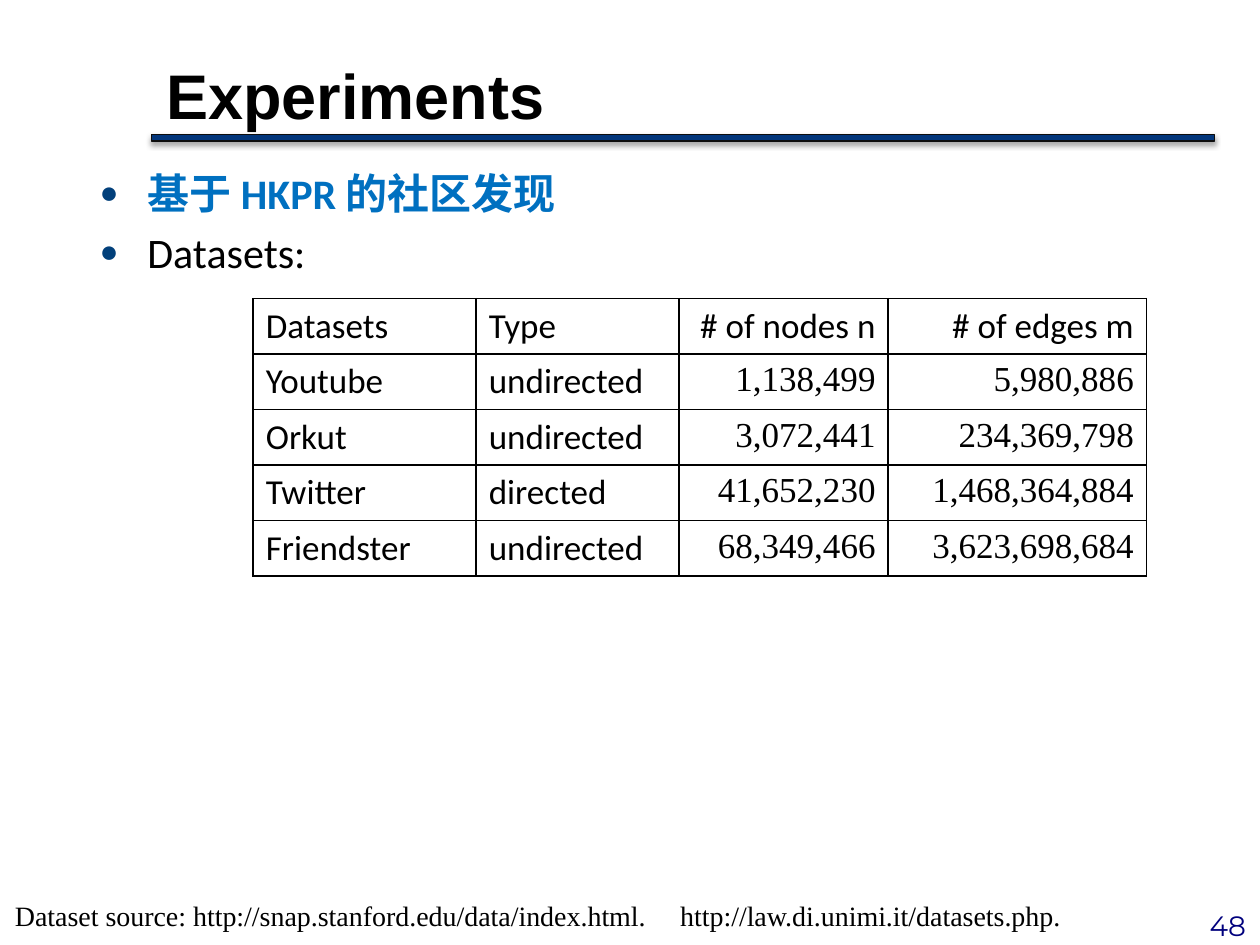
from lxml import etree
from pptx import Presentation
from pptx.dml.color import RGBColor
from pptx.enum.shapes import MSO_SHAPE
from pptx.enum.text import MSO_ANCHOR, MSO_AUTO_SIZE, PP_ALIGN
from pptx.oxml import parse_xml
from pptx.oxml.ns import qn
from pptx.util import Inches, Pt

LEFT, CENTER, RIGHT = PP_ALIGN.LEFT, PP_ALIGN.CENTER, PP_ALIGN.RIGHT
RECTANGLE = MSO_SHAPE.RECTANGLE
TOP, MIDDLE = MSO_ANCHOR.TOP, MSO_ANCHOR.MIDDLE
NO_AUTOFIT = MSO_AUTO_SIZE.NONE
DRAWING_NS = 'xmlns:a="http://schemas.openxmlformats.org/drawingml/2006/main"'


def rgb(hex_color):
    return RGBColor.from_string(hex_color)


def write(paragraph, text, color="000000", align=LEFT, **font_format):
    run = paragraph.add_run()
    run.text = text
    paragraph.alignment = align
    run.font.color.rgb = rgb(color)
    for name, value in font_format.items():
        setattr(run.font, name, value)


prs = Presentation()
prs.slide_width, prs.slide_height = Inches(10), Inches(7.5)
slide = prs.slides.add_slide(prs.slide_layouts[1])
title, body = slide.shapes.title, slide.placeholders[1]

# Positions of title and list
for placeholder, box, anchor in (
    (title, (1.22, 0.13, 8.87, 1.23), MIDDLE),
    (body, (0.69, 1.28, 9.29, 6.14), TOP),
):
    placeholder.left, placeholder.top, placeholder.width, placeholder.height = map(Inches, box)
    placeholder.text_frame.vertical_anchor = anchor
    placeholder.text_frame.auto_size = NO_AUTOFIT

write(title.text_frame.paragraphs[0], "Experiments", name="Arial", size=Pt(36), bold=True)

# Rule under the title, with a soft shadow
rule = slide.shapes.add_shape(RECTANGLE, Inches(1.2), Inches(1.07), Inches(8.44), Inches(0.05))
rule.fill.solid()
rule.fill.fore_color.rgb = rgb("02367B")
rule.line.color.rgb = rgb("0D0D0D")
rule.line.width = Pt(0.75)
rule.shadow.inherit = False
rule.element.spPr.find(qn("a:effectLst")).append(parse_xml(
    f'<a:outerShdw {DRAWING_NS} blurRad="{Pt(3.1)}" dist="{Pt(1.8)}" dir="5400000" rotWithShape="0">'
    '<a:srgbClr val="000000"><a:alpha val="35000"/></a:srgbClr></a:outerShdw>'))

# Bulleted list
bullet_points = [("基于 HKPR 的社区发现", "0070C0", True), ("Datasets:", "000000", False)]
for i, (text, color, bold) in enumerate(bullet_points):
    point = body.text_frame.add_paragraph() if i else body.text_frame.paragraphs[0]
    props = point._p.get_or_add_pPr()
    props.set("marL", str(Inches(0.38)))
    props.set("indent", str(Inches(-0.38)))
    bullet_color = etree.SubElement(props, qn("a:buClr"))
    etree.SubElement(bullet_color, qn("a:srgbClr"), val="02407B")
    etree.SubElement(props, qn("a:buSzPct"), val="75000")
    etree.SubElement(props, qn("a:buChar"), char="●")
    point.space_before = Pt(4.8 if i else 0)
    write(point, text, color, name="Calibri", size=Pt(24), bold=bold)

# Table of datasets
datasets = [
    ("Datasets", "Type", "# of nodes n", "# of edges m"),
    ("Youtube", "undirected", "1,138,499", "5,980,886"),
    ("Orkut", "undirected", "3,072,441", "234,369,798"),
    ("Twitter", "directed", "41,652,230", "1,468,364,884"),
    ("Friendster", "undirected", "68,349,466", "3,623,698,684"),
]
column_widths = [1.77, 1.61, 1.66, 2.05]
row_height = Inches(0.434)
table = slide.shapes.add_table(
    len(datasets), len(column_widths), Inches(2.01), Inches(2.37),
    Inches(sum(column_widths)), row_height * len(datasets)).table
table.first_row = table.horz_banding = False
for column, width in zip(table.columns, column_widths):
    column.width = Inches(width)
for r, record in enumerate(datasets):
    table.rows[r].height = row_height
    for c, text in enumerate(record):
        cell = table.cell(r, c)
        is_count = r > 0 and c > 1
        write(cell.text_frame.paragraphs[0], text, align=RIGHT if c > 1 else LEFT,
              name="Times New Roman" if is_count else "Calibri", size=Pt(20), bold=False)
        for side in ("lnL", "lnR", "lnT", "lnB"):
            cell._tc.get_or_add_tcPr().append(parse_xml(
                f'<a:{side} {DRAWING_NS} w="{Pt(1)}"><a:solidFill>'
                f'<a:srgbClr val="000000"/></a:solidFill></a:{side}>'))
        cell.fill.background()

# Source line, its second address at a tab stop, and page number
source_line = "Dataset source: http://snap.stanford.edu/data/index.html.\thttp://law.di.unimi.it/datasets.php."
for box, text, color, align, font_name in (
    ((0.02, 7.08, 9.71, 0.37), source_line, "000000", LEFT, "Times New Roman"),
    ((9.33, 7.16, 0.83, 0.37), "48", "00007D", CENTER, "Montserrat"),
):
    frame = slide.shapes.add_textbox(*map(Inches, box)).text_frame
    frame.word_wrap = True
    line = frame.paragraphs[0]
    if "\t" in text:
        tabs = etree.SubElement(line._p.get_or_add_pPr(), qn("a:tabLst"))
        etree.SubElement(tabs, qn("a:tab"), pos=str(Inches(5.28)), algn="l")
    write(line, text, color, align, name=font_name, size=Pt(16))

prs.save("out.pptx")
